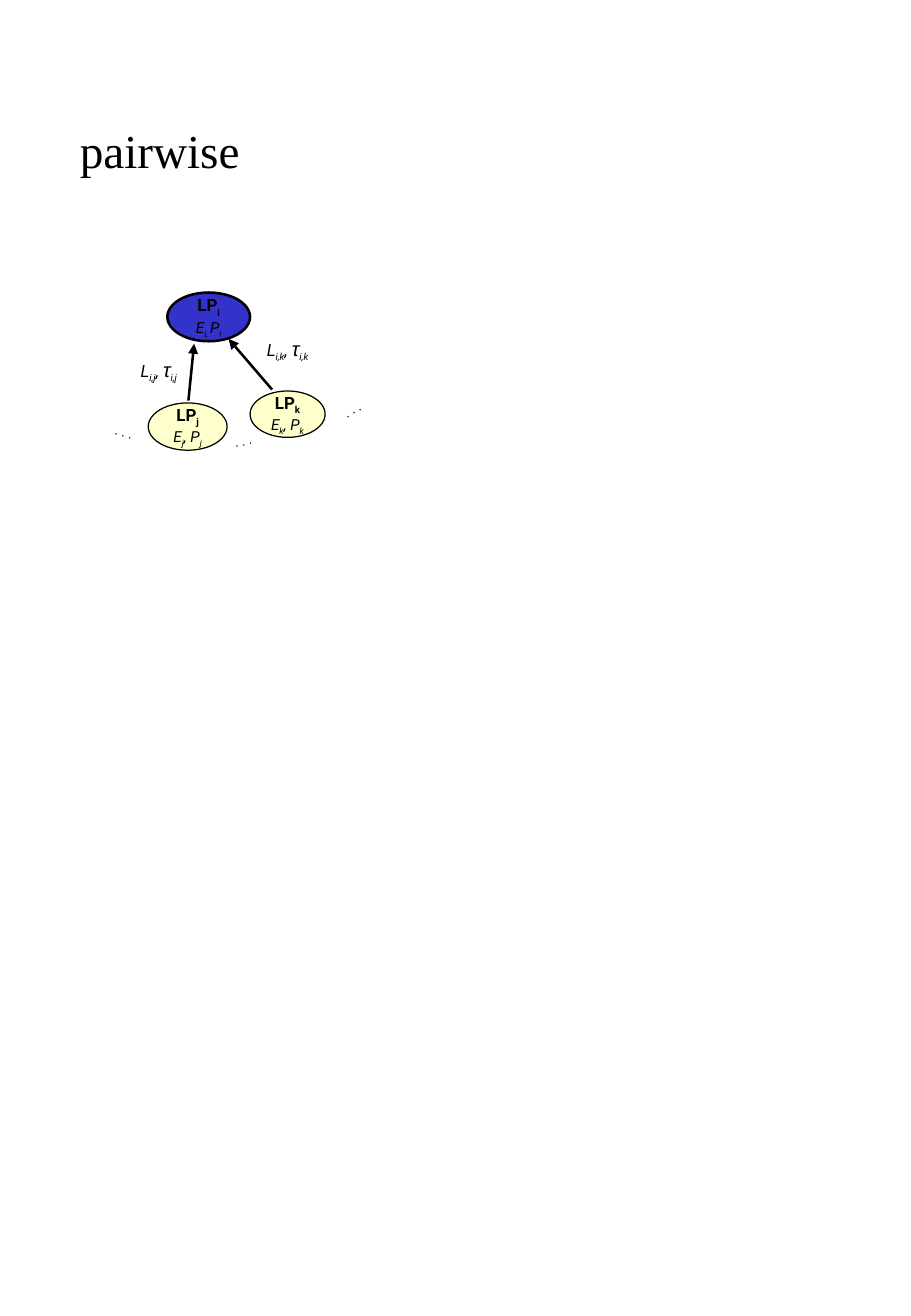
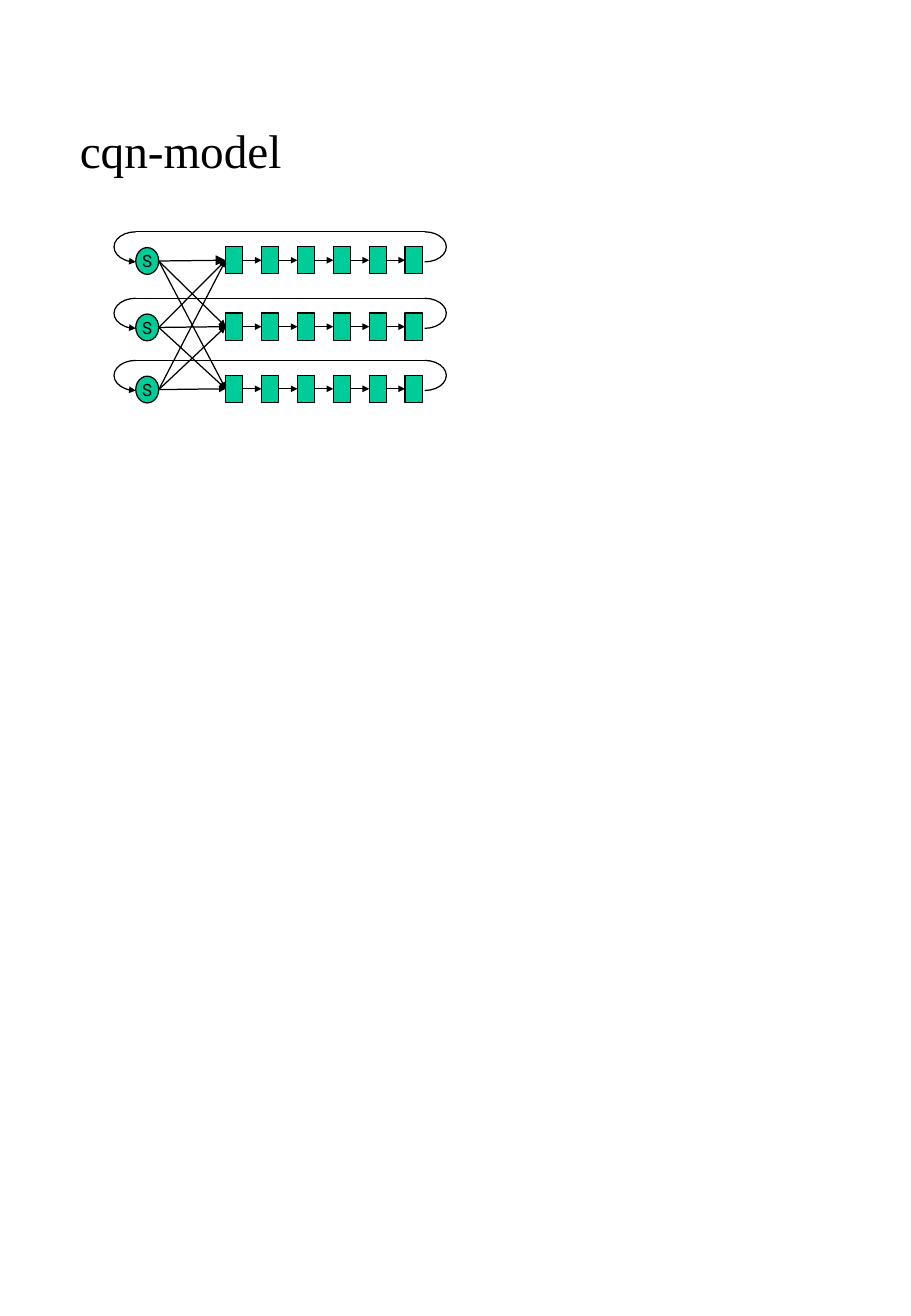
from lxml.etree import SubElement
from pptx import Presentation
from pptx.dml.color import RGBColor
from pptx.enum.shapes import MSO_CONNECTOR as Connector, MSO_SHAPE as Shape
from pptx.enum.text import MSO_ANCHOR as Anchor, MSO_AUTO_SIZE as AutoSize, PP_ALIGN as Align
from pptx.oxml.ns import qn
from pptx.util import Cm, Pt


def color(hex_code):
    return RGBColor.from_string(hex_code)


def write(paragraph, text, size=10, font="Roboto", bold=False, italic=False, sub=False):
    run = paragraph.add_run()
    run.text = text
    run.font.size = Pt(size)
    run.font.name = font
    run.font.bold = bold
    run.font.italic = italic
    run.font.color.rgb = color(Deck.INK)
    if sub:
        run._r.get_or_add_rPr().set("baseline", "-25000")


def add_arrowhead(outlined, end, size):
    """Put a triangle on one end of an arc or connector; end is headEnd or tailEnd."""
    outline = outlined._element.spPr.find(qn("a:ln"))
    SubElement(outline, qn(f"a:{end}"), type="triangle", w=size, len=size)


class Deck:
    INK = "000000"
    THIN, THICK = 0.75, 1.5

    def __init__(self, width, height):
        self.presentation = Presentation()
        self.presentation.slide_width = Cm(width)
        self.presentation.slide_height = Cm(height)
        self.slide = None

    def new_slide(self, title):
        self.slide = self.presentation.slides.add_slide(self.presentation.slide_layouts[6])
        heading = self.text_box(1.42, 2.44, 16.18, 1.37, wrap=True)
        write(heading, title, size=28, font="Times New Roman")

    def text_box(self, left, top, width, height, wrap=False, rotation=0):
        """Add an empty text box and return its first paragraph."""
        box = self.slide.shapes.add_textbox(Cm(left), Cm(top), Cm(width), Cm(height))
        box.rotation = rotation
        frame = box.text_frame
        frame.word_wrap = wrap
        if wrap:
            frame.vertical_anchor = Anchor.MIDDLE
        else:
            frame.auto_size = AutoSize.SHAPE_TO_FIT_TEXT
        return frame.paragraphs[0]

    def shape(self, kind, left, top, width, height, fill=None, weight=THIN):
        shape = self.slide.shapes.add_shape(kind, Cm(left), Cm(top), Cm(width), Cm(height))
        shape.shadow.inherit = False
        if fill:
            shape.fill.solid()
            shape.fill.fore_color.rgb = color(fill)
        else:
            shape.fill.background()
        shape.line.color.rgb = color(self.INK)
        shape.line.width = Pt(weight)
        return shape

    def oval(self, left, top, width, height, fill, weight=THIN):
        """Add an ellipse and return its centred first paragraph."""
        frame = self.shape(Shape.OVAL, left, top, width, height, fill, weight).text_frame
        frame.word_wrap = False
        frame.vertical_anchor = Anchor.MIDDLE
        frame.paragraphs[0].alignment = Align.CENTER
        return frame.paragraphs[0]

    def half_loop(self, left, top, width, height, start, end):
        """Draw an elliptical arc clockwise between two angles in degrees."""
        arc = self.shape(Shape.ARC, left, top, width, height)
        arc.adjustments[0] = start * 0.6
        arc.adjustments[1] = end * 0.6
        return arc

    def line(self, start, end, weight=THIN, arrow=None, source=None, target=None):
        """Draw from start to end, joined to the right of source and the left of target."""
        link = self.slide.shapes.add_connector(
            Connector.STRAIGHT, *(Cm(value) for value in (*start, *end)))
        if source is not None:
            link.begin_connect(source, 3)
        if target is not None:
            link.end_connect(target, 1)
        link.line.color.rgb = color(self.INK)
        link.line.width = Pt(weight)
        if arrow:
            add_arrowhead(link, "tailEnd", arrow)
        SubElement(link._element.spPr, qn("a:effectLst"))

    def process(self, index, left, top, width, height, fill, weight=THIN, low_comma=False):
        """Draw a logical process with its E and P values."""
        label = self.oval(left, top, width, height, fill, weight)
        write(label, "LP", bold=True)
        write(label, index, bold=True, sub=True)
        label.add_line_break()
        low, high = (f"{index}, ", "P") if low_comma else (index, ", P")
        for text, sub in (("E", False), (low, True), (high, False), (index, True)):
            write(label, text, size=9, italic=True, sub=sub)

    def link_label(self, indices, left, top, width):
        label = self.text_box(left, top, width, 0.81)
        write(label, "L", italic=True)
        write(label, indices, italic=True, sub=True)
        write(label, ", ", italic=True)
        write(label, "τ", size=12, font="Arial", italic=True)
        write(label, indices, italic=True, sub=True)


def draw_pairwise(deck):
    deck.new_slide("pairwise")
    blue, cream = "3333CC", "FFFFCC"
    deck.process("i", 3.5, 6.12, 1.73, 1.02, blue, deck.THICK, low_comma=True)
    deck.process("k", 5.23, 8.18, 1.57, 0.97, cream)
    deck.process("j", 3.1, 8.43, 1.65, 0.99, cream)
    for start, end in (((3.94, 8.38), (4.06, 7.19)), ((5.69, 8.15), (4.78, 7.09))):
        deck.line(start, end, deck.THICK, arrow="med")
    for left, top, rotation in ((6.93, 8.26, 329.2), (2.16, 8.74, 13.9), (4.65, 8.92, 347.5)):
        write(deck.text_box(left, top, 0.89, 0.61, rotation=rotation), ". . .", size=8)
    deck.link_label("i,k", 5.33, 6.91, 1.4)
    deck.link_label("i,j", 2.69, 7.34, 1.35)


def draw_queueing_network(deck):
    deck.new_slide("cqn-model")
    green = "00CC99"
    queue_left, queue_pitch, queue_width, queue_height = 4.72, 0.75, 0.36, 0.57
    switch_left, switch_width, switch_height = 2.84, 0.48, 0.56
    loop_width, loop_height = 0.91, 0.63
    loop_start, loop_end = 2.84, 8.88

    switch_ports, first_queues = [], []
    for row_top in (5.16, 6.55, 7.85):
        write(deck.oval(switch_left, row_top + 0.02, switch_width, switch_height, green), "S")
        queues = [deck.shape(Shape.RECTANGLE, queue_left + i * queue_pitch, row_top,
                             queue_width, queue_height, green) for i in range(6)]
        for source, target in zip(queues, queues[1:]):
            deck.line((0, 0), (0, 0), arrow="sm", source=source, target=target)

        loop_top = row_top - 0.31
        loop_box = (loop_top, loop_width, loop_height)
        deck.half_loop(loop_end - loop_width / 2, *loop_box, 270, 90)
        back = deck.half_loop(loop_start - loop_width / 2, *loop_box, 90, 270)
        add_arrowhead(back, "headEnd", "sm")
        deck.line((loop_start, loop_top), (loop_end, loop_top))

        switch_ports.append((switch_left + switch_width, row_top + 0.3))
        first_queues.append(queues[0])

    for row, port in enumerate(switch_ports):
        for column, queue in enumerate(first_queues):
            arrow = "med" if row == column == 0 else "sm"
            deck.line(port, port, arrow=arrow, target=queue)


def main():
    deck = Deck(19.05, 27.53)
    draw_pairwise(deck)
    draw_queueing_network(deck)
    deck.presentation.save("out.pptx")


if __name__ == "__main__":
    main()
